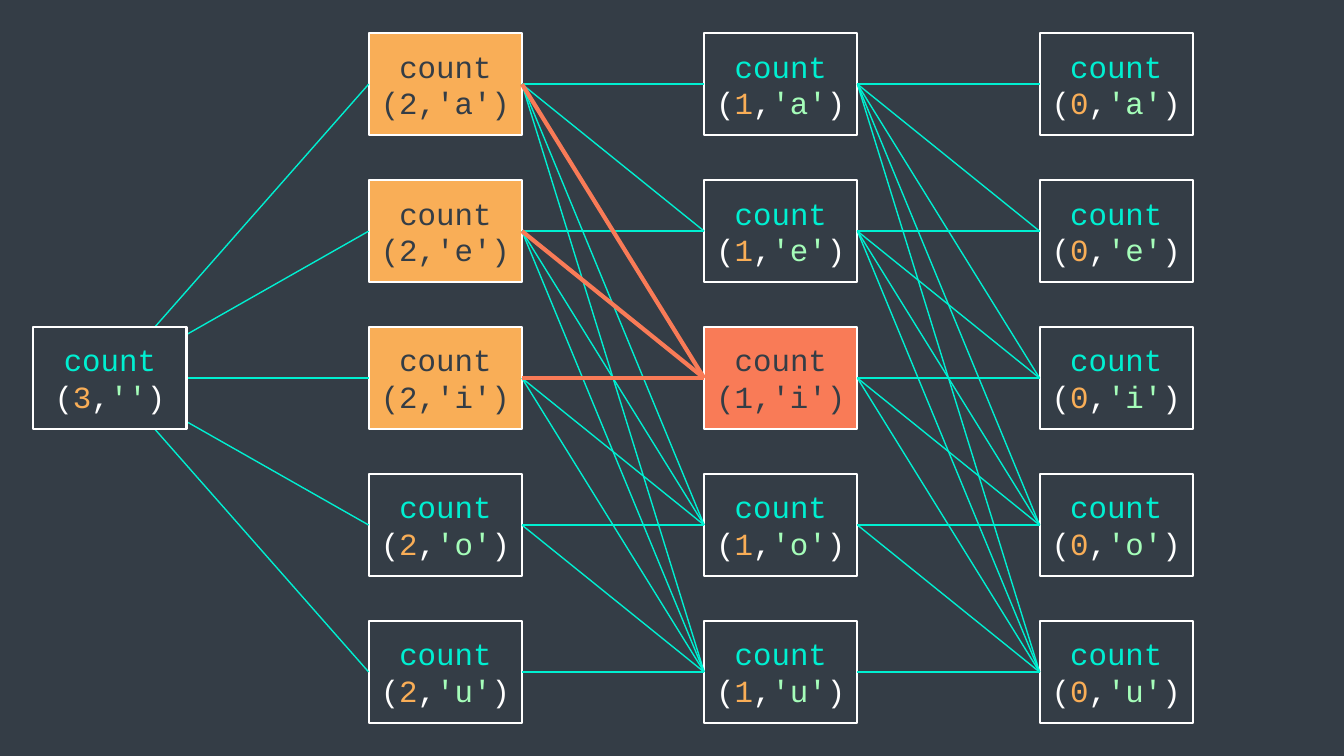
"""Build the call-tree slide for counting vowel strings."""
from lxml import etree
from pptx import Presentation
from pptx.dml.color import RGBColor
from pptx.enum.shapes import MSO_CONNECTOR, MSO_SHAPE
from pptx.enum.text import MSO_ANCHOR, PP_ALIGN
from pptx.oxml.ns import qn
from pptx.util import Inches, Pt

DARK = RGBColor(0x34, 0x3D, 0x46)
WHITE = RGBColor(0xFF, 0xFF, 0xFF)
TEAL = RGBColor(0x00, 0xEF, 0xD1)
ORANGE = RGBColor(0xF9, 0xAE, 0x57)
CORAL = RGBColor(0xF9, 0x7B, 0x57)
GREEN = RGBColor(0xA5, 0xFD, 0xB9)

VOWELS = "aeiou"
ROOT_CALL = (3, "")
COLUMN_COUNTS = (2, 1, 0)
HIGHLIGHTED_CALLS = {(2, "a"): ORANGE, (2, "e"): ORANGE, (2, "i"): ORANGE, (1, "i"): CORAL}
REPEATED_CALL = (1, "i")

BOX_WIDTH, BOX_HEIGHT = 1.52, 1.01
LEFT, TOP = 0.33, 0.33
COLUMN_STEP, ROW_STEP = 3.327, 1.458
ROOT_ROW = 2


def box_position(call):
    count, vowel = call
    row = VOWELS.index(vowel) if vowel else ROOT_ROW
    return LEFT + (ROOT_CALL[0] - count) * COLUMN_STEP, TOP + row * ROW_STEP


def anchor(call, across):
    left, top = box_position(call)
    return left + BOX_WIDTH * across, top + BOX_HEIGHT / 2


def add_call_box(slide, call):
    left, top = box_position(call)
    box = slide.shapes.add_shape(MSO_SHAPE.RECTANGLE, Inches(left), Inches(top),
                                 Inches(BOX_WIDTH), Inches(BOX_HEIGHT))
    highlight = HIGHLIGHTED_CALLS.get(call)
    box.shadow.inherit = False
    box.fill.solid()
    box.fill.fore_color.rgb = highlight or DARK
    box.line.color.rgb = WHITE
    box.line.width = Pt(1.5)

    count, vowel = call
    frame = box.text_frame
    frame.word_wrap = True
    frame.vertical_anchor = MSO_ANCHOR.MIDDLE
    name, arguments = frame.paragraphs[0], frame.add_paragraph()
    name.text = "count"
    if highlight:
        arguments.text = f"({count},'{vowel}')"
    else:
        pieces = (("(", WHITE), (str(count), ORANGE), (",", WHITE),
                  (f"'{vowel}'", GREEN), (")", WHITE))
        for text, color in pieces:
            run = arguments.add_run()
            run.text = text
            run.font.color.rgb = color
    for paragraph in (name, arguments):
        paragraph.alignment = PP_ALIGN.CENTER
        paragraph.font.name = "Courier New"
        paragraph.font.size = Pt(22)
        paragraph.font.color.rgb = DARK if highlight else TEAL


def add_link(slide, start, end, color=TEAL, width=1):
    link = slide.shapes.add_connector(MSO_CONNECTOR.STRAIGHT,
                                      *(Inches(value) for value in (*start, *end)))
    link.line.color.rgb = color
    link.line.width = Pt(width)
    etree.SubElement(link._element.spPr, qn("a:effectLst"))


def main():
    presentation = Presentation()
    presentation.slide_width, presentation.slide_height = Inches(13.33), Inches(7.5)
    slide = presentation.slides.add_slide(presentation.slide_layouts[6])
    slide.background.fill.solid()
    slide.background.fill.fore_color.rgb = DARK

    for count in COLUMN_COUNTS:
        for vowel in VOWELS:
            add_call_box(slide, (count, vowel))

    for vowel in VOWELS:
        add_link(slide, anchor(ROOT_CALL, 0.5), anchor((COLUMN_COUNTS[0], vowel), 0))
    add_call_box(slide, ROOT_CALL)

    links = [((count, vowel), (count - 1, following))
             for count in COLUMN_COUNTS[:-1]
             for row, vowel in enumerate(VOWELS)
             for following in VOWELS[row:]]
    links.sort(key=lambda link: link[1] == REPEATED_CALL)
    for caller, callee in links:
        style = (CORAL, 3) if callee == REPEATED_CALL else (TEAL, 1)
        add_link(slide, anchor(caller, 1), anchor(callee, 0), *style)

    presentation.save("out.pptx")


if __name__ == "__main__":
    main()
